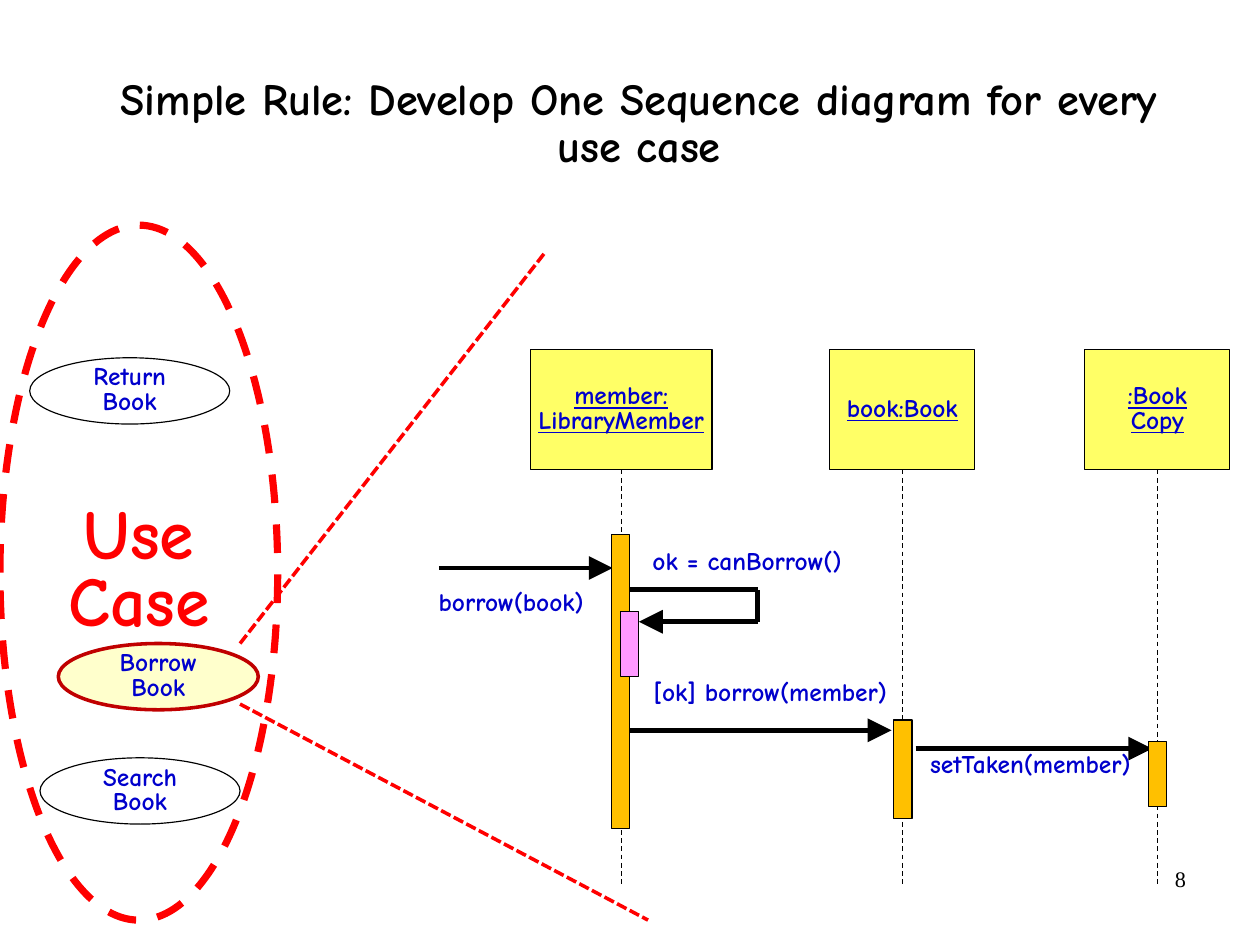
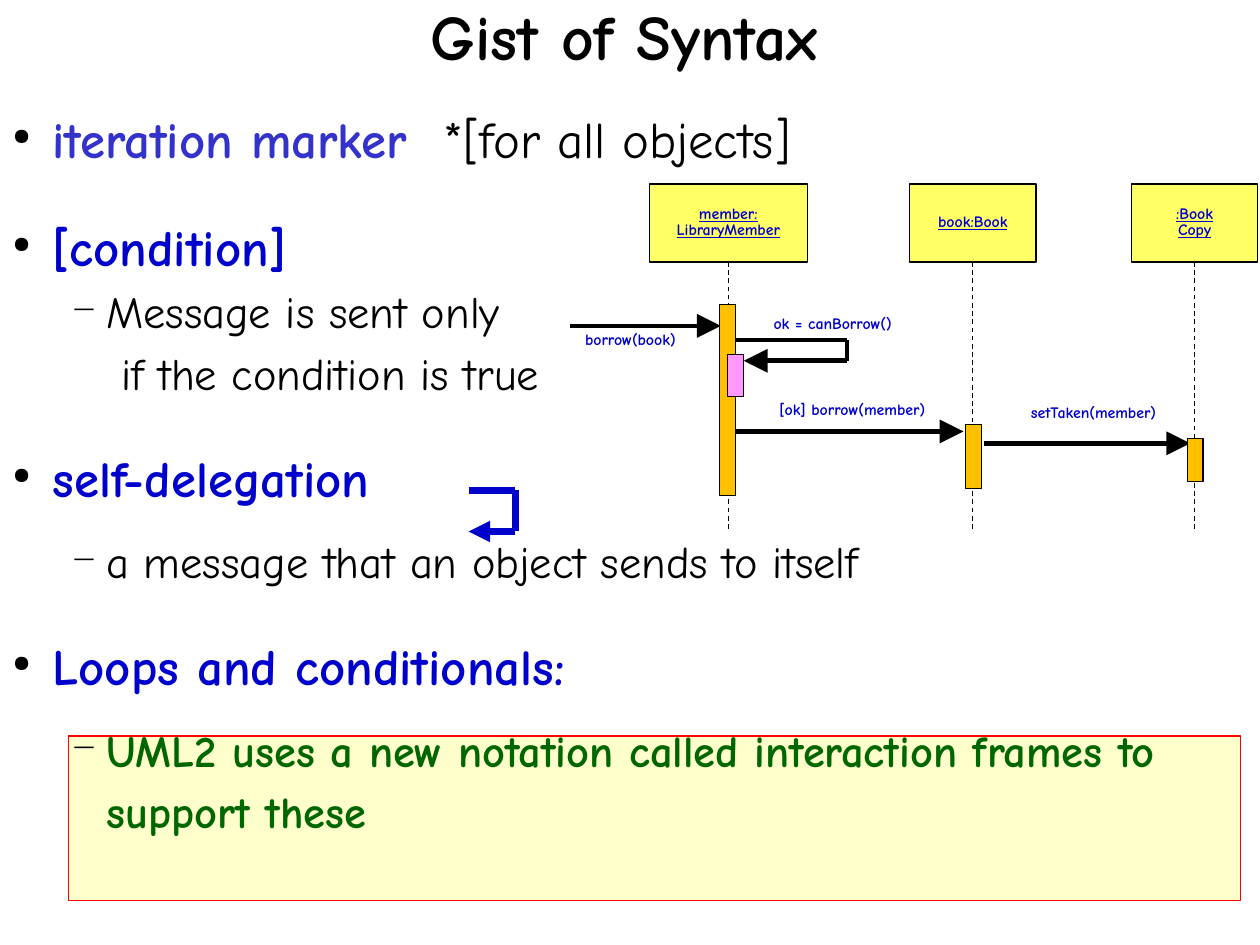
from lxml import etree
from pptx import Presentation
from pptx.dml.color import RGBColor
from pptx.enum.dml import MSO_LINE
from pptx.enum.shapes import MSO_CONNECTOR, MSO_SHAPE
from pptx.enum.text import MSO_ANCHOR, MSO_AUTO_SIZE, PP_ALIGN
from pptx.oxml.ns import qn
from pptx.util import Cm, Inches, Pt

FONT = "Comic Neue"
BULLET_FONT = "StarSymbol"
COLORS = {
    "black": "000000", "blue": "0000CC", "violet": "3333CC", "green": "006600",
    "red": "FF0000", "dark_red": "C00000", "yellow": "FFFF66",
    "cream": "FFFFCC", "orange": "FFC000", "pink": "FF99FF",
}

# Sequence diagram, in the coordinates of the first slide
ORIGIN = (4.64, 3.06)
HEAD_H, LIFELINE_END, BAR_W = 1.05, 7.73, 0.16
OBJECTS = [  # text, left, width
    ("member:\nLibraryMember", 4.64, 1.59),
    ("book:Book", 7.26, 1.27),
    (":Book\nCopy", 9.49, 1.27),
]
MESSAGES = [
    [(3.84, 4.97), (5.36, 4.97)],
    [(5.51, 5.16), (6.63, 5.16), (6.63, 5.44), (5.59, 5.44)],
    [(5.51, 6.39), (7.8, 6.39)],
    [(8.01, 6.55), (10.08, 6.55)],
]
BARS = [  # left, top, height, colour
    (5.35, 4.68, 2.57, "orange"), (5.43, 5.35, 0.57, "pink"),
    (7.82, 6.3, 0.86, "orange"), (10.05, 6.49, 0.57, "orange"),
]
LABELS = ["borrow(book)", "ok = canBorrow()", "[ok] borrow(member)", "setTaken(member)"]

DIAGRAM_FULL = {
    "origin": ORIGIN, "scale": (1, 1), "size": 16, "label_h": 0.32,
    "labels": [(3.74, 5.13, 1.47), (5.61, 4.77, 1.86), (5.62, 5.92, 2.27), (8.04, 6.55, 1.97)],
}
DIAGRAM_SMALL = {
    "origin": (5.68, 1.61), "scale": (0.87, 0.65), "size": 10, "label_h": 0.24,
    "labels": [(5.02, 2.87, 0.99), (6.67, 2.73, 1.23), (6.72, 3.48, 1.5), (8.92, 3.51, 1.31)],
}

USE_CASES = [  # text, left, top, fill, line colour, line width
    ("Return Book", 0.26, 3.13, None, "black", 0.75),
    ("Search Book", 0.35, 6.63, None, "black", 0.75),
    ("Borrow Book", 0.51, 5.63, "cream", "dark_red", 2.25),
]
ZOOM_LINES = [[(2.1, 5.63), (4.76, 2.22)], [(2.1, 6.16), (5.67, 8.05)]]

SELF_ARROW = [(4.1, 4.29), (4.51, 4.29), (4.51, 4.65), (4.1, 4.65)]
LEVELS = {  # margin, indent, bullet, bullet size %, text size
    "main": (0.46, -0.35, "●", 45, 32),
    "sub": (0.93, -0.31, "−", 75, 28),
    "more": (1.06, 0, None, None, 28),
}
SYNTAX = [  # level, space before, space after, runs of (text, colour, bold)
    ("main", 0, 12, [("iteration marker  ", "violet", True),
                     ("*[for all objects]", "black", False)]),
    ("main", 12, 0, [("[condition]", "blue", True)]),
    ("sub", 0, 0, [("Message is sent only", "black", False)]),
    ("more", 0, 12, [("if the condition is true", "black", False)]),
    ("main", 12, 0, [("self-delegation", "blue", True)]),
    ("sub", 12, 12, [("a message that an object sends to itself", "black", False)]),
    ("main", 12, 0, [("Loops and conditionals:", "blue", True)]),
    ("sub", 12, 12, [("UML2 uses a new notation called interaction frames to support these",
                      "green", True)]),
]


def rgb(name):
    return RGBColor.from_string(COLORS[name])


def add_run(p, text, size, color, bold=True, underline=None, font=FONT):
    r = p.add_run()
    r.text = text
    f = r.font
    f.name, f.size, f.bold, f.underline = font, Pt(size), bold, underline
    f.color.rgb = rgb(color)


def set_frame(tf, inset=(0, 0), wrap=True, anchor=MSO_ANCHOR.TOP):
    tf.auto_size = MSO_AUTO_SIZE.NONE
    tf.word_wrap, tf.vertical_anchor = wrap, anchor
    tf.margin_left = tf.margin_right = Inches(inset[0])
    tf.margin_top = tf.margin_bottom = Inches(inset[1])


def write(tf, text, size, color="blue", align=PP_ALIGN.CENTER, spacing=0.8, **style):
    """Fill the first paragraph, with a line break at each newline."""
    p = tf.paragraphs[0]
    p.alignment, p.line_spacing = align, spacing
    for i, line in enumerate(text.split("\n")):
        if i:
            p.add_line_break()
        add_run(p, line, size, color, **style)


def add_title(s, text, box, size):
    title = s.shapes.title
    title.left, title.top, title.width, title.height = map(Inches, box)
    set_frame(title.text_frame, anchor=MSO_ANCHOR.MIDDLE)
    write(title.text_frame, text, size, "black", spacing=0.88)


def add_box(s, kind, box, fill, line="black", width=0.75):
    sp = s.shapes.add_shape(kind, *map(Inches, box))
    sp.shadow.inherit = False
    if fill:
        sp.fill.solid()
        sp.fill.fore_color.rgb = rgb(fill)
    else:
        sp.fill.background()
    sp.line.color.rgb = rgb(line)
    sp.line.width = Pt(width)
    return sp


def add_text(s, box, text, size, **style):
    tf = s.shapes.add_textbox(*map(Inches, box)).text_frame
    set_frame(tf, (0.1, 0.05), wrap=False)
    write(tf, text, size, align=PP_ALIGN.LEFT, **style)


def add_line(s, points, color="black", width=0.75, dash=None, head=None):
    """Join the points with connectors; head is the arrowhead size at the last one."""
    for start, end in zip(points, points[1:]):
        c = s.shapes.add_connector(MSO_CONNECTOR.STRAIGHT, *map(Inches, start + end))
        c.line.color.rgb = rgb(color)
        c.line.width = Pt(width)
        if dash:
            c.line.dash_style = dash
        etree.SubElement(c._element.spPr, qn("a:effectLst"))
    if head:
        etree.SubElement(c.line._get_or_add_ln(), qn("a:tailEnd"),
                         type="triangle", w=head, len=head)


def add_diagram(s, d):
    (x0, y0), (kx, ky) = d["origin"], d["scale"]

    def place(x, y):
        return x0 + (x - ORIGIN[0]) * kx, y0 + (y - ORIGIN[1]) * ky

    for text, left, width in OBJECTS:
        sp = add_box(s, MSO_SHAPE.RECTANGLE,
                     (*place(left, ORIGIN[1]), width * kx, HEAD_H * ky), "yellow")
        set_frame(sp.text_frame, (0.1, 0.05), wrap=False, anchor=MSO_ANCHOR.MIDDLE)
        write(sp.text_frame, text, d["size"], underline=True)
        middle = left + width / 2
        add_line(s, [place(middle, ORIGIN[1] + HEAD_H), place(middle, LIFELINE_END)],
                 dash=MSO_LINE.DASH)
    for points in MESSAGES:
        add_line(s, [place(*pt) for pt in points], width=3, head="lg")
    for left, top, height, fill in BARS:
        add_box(s, MSO_SHAPE.RECTANGLE,
                (*place(left, top), BAR_W * kx, height * ky), fill)
    for text, (left, top, width) in zip(LABELS, d["labels"]):
        add_text(s, (left, top, width, d["label_h"]), text, d["size"])


def add_use_case(s, box, text, size, color, *look):
    sp = add_box(s, MSO_SHAPE.OVAL, box, *look)
    set_frame(sp.text_frame, (0.1, 0.05), anchor=MSO_ANCHOR.MIDDLE)
    write(sp.text_frame, text, size, color)
    return sp


def add_bullets(s, box, items):
    tf = s.shapes.add_textbox(*map(Inches, box)).text_frame
    set_frame(tf)
    for i, (level, before, after, runs) in enumerate(items):
        p = tf.paragraphs[0] if i == 0 else tf.add_paragraph()
        margin, indent, mark, percent, size = LEVELS[level]
        p.line_spacing, p.space_before, p.space_after = 1.15, Pt(before), Pt(after)
        pPr = p._p.get_or_add_pPr()
        pPr.set("marL", str(Inches(margin)))
        pPr.set("indent", str(Inches(indent)))
        if mark:
            clr = etree.SubElement(pPr, qn("a:buClr"))
            etree.SubElement(clr, qn("a:srgbClr"), val=COLORS["black"])
            etree.SubElement(pPr, qn("a:buSzPct"), val=str(percent * 1000))
            etree.SubElement(pPr, qn("a:buFont"), typeface=BULLET_FONT)
            etree.SubElement(pPr, qn("a:buChar"), char=mark)
        for text, color, bold in runs:
            add_run(p, text, size, color, bold)


def build_rule_slide(s):
    add_title(s, "Simple Rule: Develop One Sequence diagram for every use case",
              (0.89, 0.41, 9.4, 1.37), 28)
    add_diagram(s, DIAGRAM_FULL)
    outline = add_use_case(s, (0, 1.97, 2.43, 6.08), "Use Case", 44, "red", None, "red", 4.5)
    outline.line.dash_style = MSO_LINE.DASH
    for text, left, top, *look in USE_CASES:
        add_use_case(s, (left, top, 1.75, 0.58), text, 16, "blue", *look)
    for points in ZOOM_LINES:
        add_line(s, points, "red", 2.25, MSO_LINE.SQUARE_DOT)
    add_text(s, (10.18, 7.52, 0.4, 0.35), "8", 14, color="black", bold=False,
             spacing=1, font="Times New Roman")


def build_syntax_slide(s):
    add_box(s, MSO_SHAPE.RECTANGLE, (0.6, 6.44, 10.25, 1.44), "cream", "red")
    add_title(s, "Gist of Syntax", (0.76, -0.17, 9.4, 1.05), 40)
    add_bullets(s, (0, 0.86, 11.02, 6.58), SYNTAX)
    add_line(s, SELF_ARROW, "blue", 4.5, head="med")
    add_diagram(s, DIAGRAM_SMALL)


def main():
    prs = Presentation()
    prs.slide_width = Cm(28)
    prs.slide_height = Cm(21)
    title_only = prs.slide_layouts[5]
    build_rule_slide(prs.slides.add_slide(title_only))
    build_syntax_slide(prs.slides.add_slide(title_only))
    prs.save("out.pptx")


if __name__ == "__main__":
    main()
